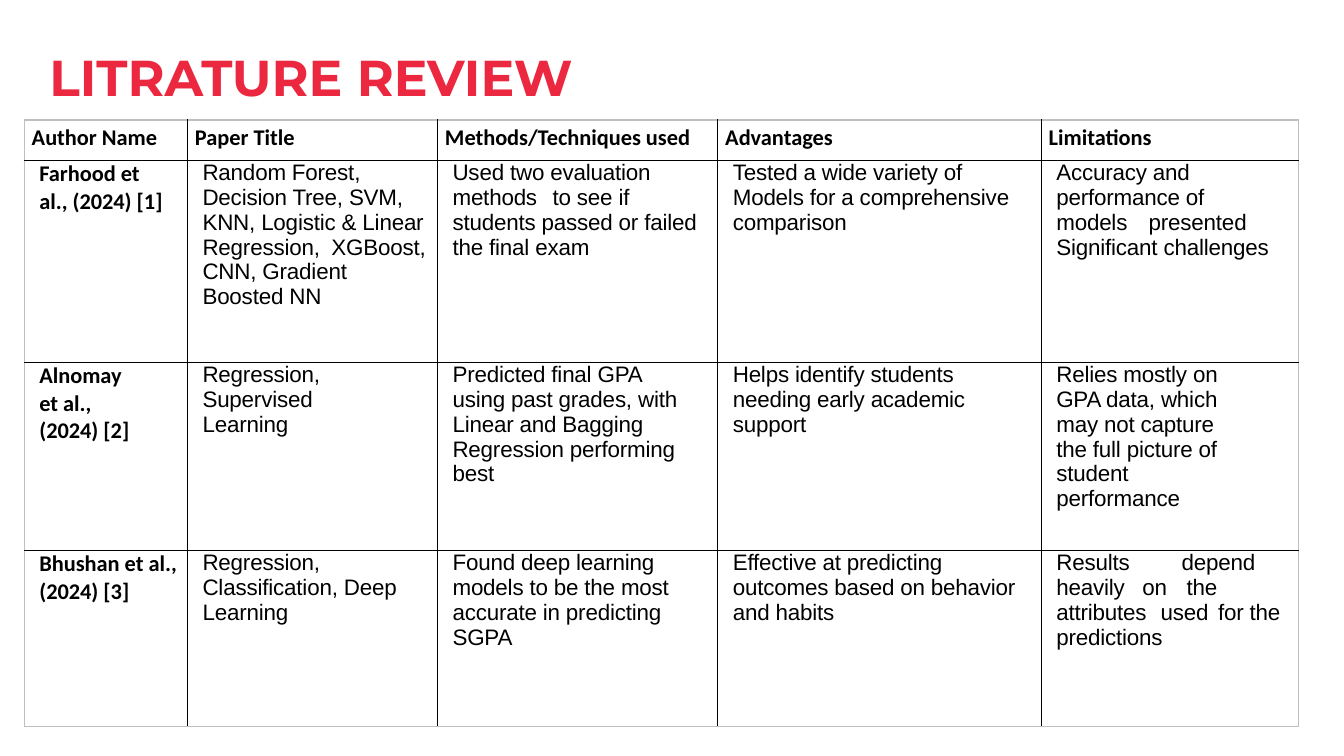
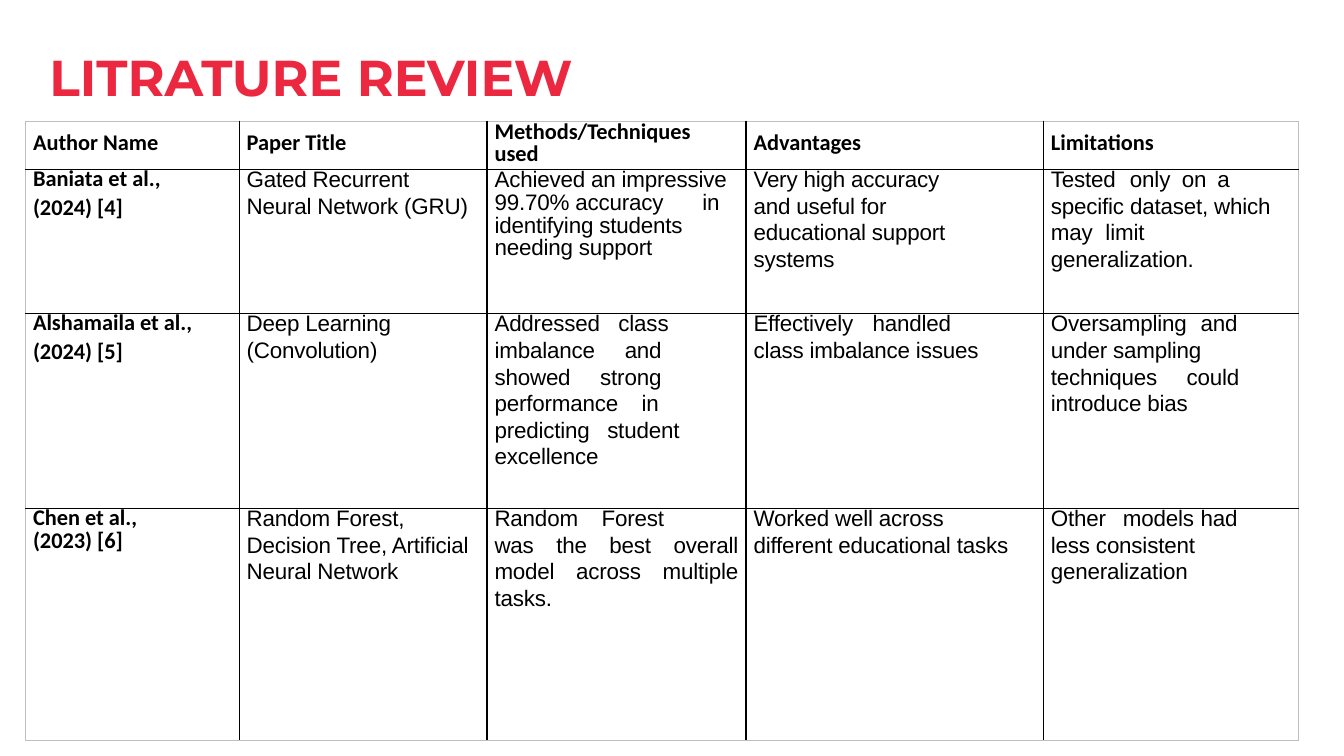
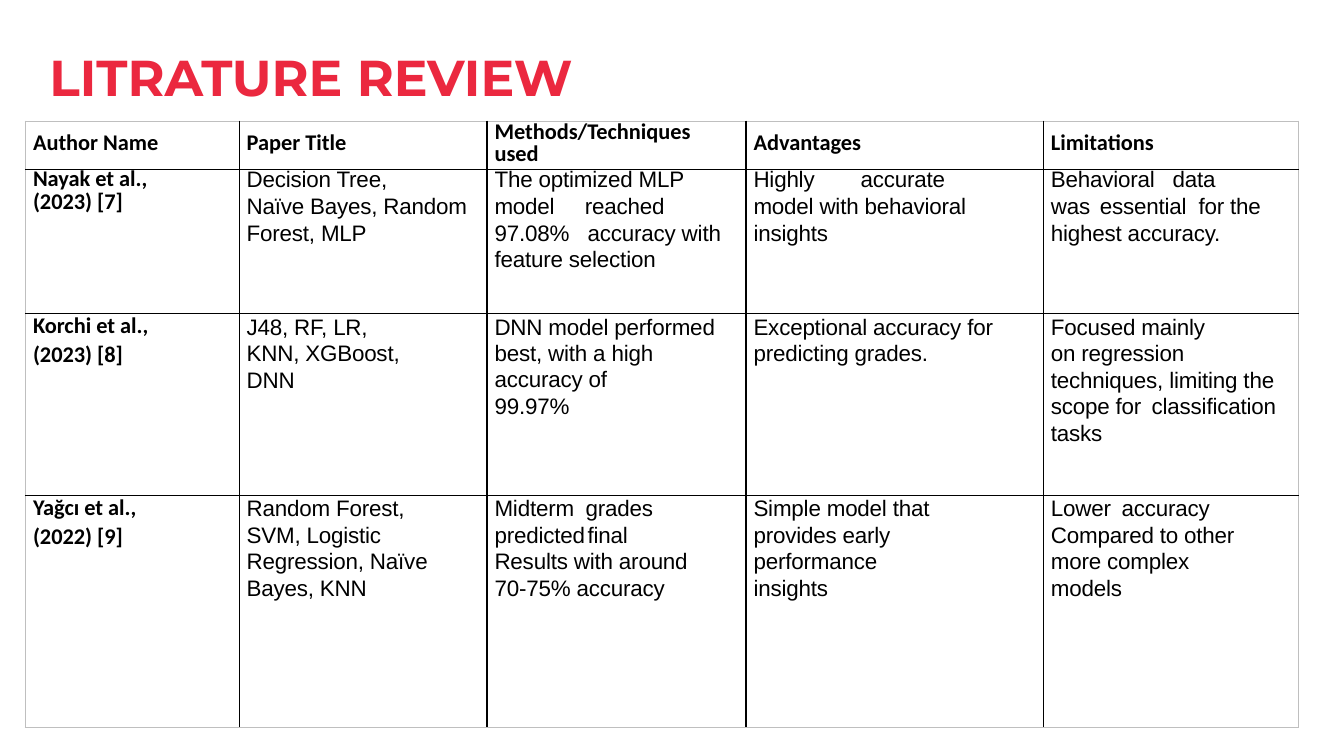
import pptx
import pptx.dml.color
import pptx.enum.text
import pptx.oxml.ns
import pptx.util
from lxml import etree

Pt = pptx.util.Pt
TITLE = "LITRATURE REVIEW"
HEADERS = ["Author Name", "Paper Title", "Methods/Techniques used", "Advantages", "Limitations"]
RED, BLACK, WHITE, GREY = "EB283F", "000000", "FFFFFF", "BFBFBF"
HEADING_FONT, BODY_FONT = "Calibri", "Arial"
INSET = 5.4
JUSTIFY = "justify"

# A cell is a list of paragraphs. A paragraph is a text, or a tuple of a text
# and its tab stops in points, or of a text and JUSTIFY.
# A row is its height, the exact spacing of its first lines, and its cells.
REVIEWS = [
    {
        "place": (17.3, 85.7),
        "columns": [116.6, 178.6, 200.2, 231.1, 184],
        "header_height": 28.8,
        "indent": 5.4,
        "rows": [
            (144.3, None, [
                ["Farhood et", "al., (2024) [1]"],
                [("Random Forest, Decision Tree, SVM, KNN, Logistic & Linear Regression,\tXGBoost, "
                  "CNN, Gradient Boosted NN", [92])],
                [("Used two evaluation methods\tto see if students passed or failed the final exam", [71.5])],
                ["Tested a wide variety of", "Models for a comprehensive", "comparison"],
                ["Accuracy and", "performance of", ("models\tpresented", [66]), "Significant challenges"],
            ]),
            (134.3, None, [
                ["Alnomay", "et al.,", "(2024) [2]"],
                ["Regression,", "Supervised", "Learning"],
                ["Predicted final GPA", "using past grades, with Linear and Bagging Regression performing best"],
                ["Helps identify students", "needing early academic support"],
                ["Relies mostly on", "GPA data, which", "may not capture", "the full picture of",
                 "student", "performance"],
            ]),
            (125.7, None, [
                ["Bhushan et al.,", "(2024) [3]"],
                ["Regression, Classification, Deep Learning"],
                ["Found deep learning models to be the most accurate in predicting SGPA"],
                ["Effective at predicting outcomes based on behavior and habits"],
                [("Results\tdepend", [89.5]),
                 ("heavily\ton\tthe attributes\tused\tfor the predictions", [61.5, 74.5, 93, 115.5])],
            ]),
        ],
    },
    {
        "place": (18.2, 86.6),
        "columns": [152.6, 177.1, 185, 212.4, 182.2],
        "header_height": 34.6,
        "indent": 0,
        "rows": [
            (103, 16.2, [
                ["Baniata et al.,", "(2024) [4]"],
                ["Gated Recurrent", "Neural Network (GRU)"],
                [("Achieved an impressive 99.70% accuracy\tin identifying students\vneeding support", [148.5])],
                ["Very high accuracy", "and useful for", "educational support", "systems"],
                [("Tested\tonly\ton\ta", [56.5, 93.5, 119]), "specific dataset, which",
                 ("may\tlimit", [39]), "generalization."],
            ]),
            (139, 16.3, [
                ["Alshamaila et al.,", "(2024) [5]"],
                ["Deep Learning", "(Convolution)"],
                [("Addressed\tclass", [88.5]), ("imbalance\tand", [93]), ("showed\tstrong", [75.5]),
                 ("performance\tin", [105]), ("predicting\tstudent", [80.5]), "excellence"],
                [("Effectively\thandled", [85]), "class imbalance issues"],
                [("Oversampling\tand", [107]), "under sampling", ("techniques\tcould", [97]), "introduce bias"],
            ]),
            (165.6, 16.4, [
                ["Chen et al.,\v(2023) [6]"],
                ["Random Forest,", "Decision Tree, Artificial Neural Network"],
                [("Random\tForest", [76.5]),
                 ("was the best overall model across multiple tasks.", JUSTIFY)],
                ["Worked well across", "different educational tasks"],
                [("Other\tmodels\thad", [51.5, 107]), "less consistent generalization"],
            ]),
        ],
    },
    {
        "place": (18.2, 86.6),
        "columns": [152.6, 177.1, 185, 212.4, 182.2],
        "header_height": 34.6,
        "indent": 0,
        "rows": [
            (103, 16.4, [
                ["Nayak et al.,\v(2023) [7]"],
                ["Decision Tree,", "Naïve Bayes, Random Forest, MLP"],
                ["The optimized MLP", ("model\treached", [64.5]),
                 ("97.08%\taccuracy with feature selection", [66.5])],
                [("Highly\taccurate", [76.5]), "model with behavioral insights"],
                [("Behavioral\tdata", [87]), ("was\tessential\tfor the highest accuracy.", [35, 105.5])],
            ]),
            (129.6, 18.6, [
                ["Korchi et al.,", "(2023) [8]"],
                ["J48, RF, LR,", "KNN, XGBoost,", "DNN"],
                ["DNN model performed best, with a high", "accuracy of", "99.97%"],
                ["Exceptional accuracy for predicting grades."],
                ["Focused mainly", "on regression", "techniques, limiting the",
                 ("scope for\tclassification tasks", [72])],
            ]),
            (165.6, 18.6, [
                ["Yağcı et al.,", "(2022) [9]"],
                ["Random Forest,", "SVM, Logistic Regression, Naïve Bayes, KNN"],
                [("Midterm\tgrades", [65]), ("predicted\tfinal", [66.5]),
                 "Results with around", "70-75% accuracy"],
                ["Simple model that", "provides early", "performance", "insights"],
                [("Lower\taccuracy", [50.5]), "Compared to other", "more complex", "models"],
            ]),
        ],
    },
]


def color(value):
    return pptx.dml.color.RGBColor.from_string(value)


def set_font(paragraph, name, size, bold, value):
    font = paragraph.font
    font.name, font.size, font.bold = name, Pt(size), bold
    font.color.rgb = color(value)


def set_tab_stops(paragraph, stops):
    defaults = paragraph._p.get_or_add_pPr().get_or_add_defRPr()
    tab_list = etree.Element(pptx.oxml.ns.qn("a:tabLst"))
    for stop in stops:
        etree.SubElement(tab_list, pptx.oxml.ns.qn("a:tab"), pos=str(int(Pt(stop))), algn="l")
    defaults.addprevious(tab_list)


def frame_cell(cell, outer_sides):
    """Rule all four sides, grey at the edge of the table, and fill the cell."""
    properties = cell._tc.get_or_add_tcPr()
    for side in "LRTB":
        line = etree.SubElement(properties, pptx.oxml.ns.qn("a:ln" + side), w=str(int(Pt(1))))
        fill = etree.SubElement(line, pptx.oxml.ns.qn("a:solidFill"))
        etree.SubElement(fill, pptx.oxml.ns.qn("a:srgbClr"), val=GREY if side in outer_sides else BLACK)
    cell.fill.solid()
    cell.fill.fore_color.rgb = color(WHITE)


def write_header(cell, text):
    cell.vertical_anchor = pptx.enum.text.MSO_ANCHOR.MIDDLE
    paragraph = cell.text_frame.paragraphs[0]
    paragraph.text = text
    set_font(paragraph, HEADING_FONT, 16, True, BLACK)
    paragraph.line_spacing = Pt(15.6)
    paragraph.space_before, paragraph.space_after = Pt(3.8), Pt(10)


def write_body(cell, lines, is_author, first_spacing):
    cell.vertical_anchor = pptx.enum.text.MSO_ANCHOR.TOP
    frame = cell.text_frame
    for index, line in enumerate(lines):
        text, layout = (line, None) if isinstance(line, str) else line
        paragraph = frame.add_paragraph() if index else frame.paragraphs[0]
        paragraph.text = text
        set_font(paragraph, HEADING_FONT if is_author else BODY_FONT, 16, is_author, BLACK)
        if not is_author:
            paragraph._p.pPr.get_or_add_defRPr().set("spc", "-10")
        if layout == JUSTIFY:
            paragraph.alignment = pptx.enum.text.PP_ALIGN.JUSTIFY
        elif layout:
            set_tab_stops(paragraph, layout)
        if first_spacing and index == 0:
            paragraph.line_spacing = Pt(first_spacing)
        elif first_spacing and is_author:
            paragraph.space_before = Pt(1.2)
        elif first_spacing:
            paragraph.line_spacing = 1.07


def add_title(slide):
    title = slide.shapes.title
    title.left, title.top, title.width, title.height = Pt(35.3), Pt(36.7), Pt(740), Pt(41)
    frame = title.text_frame
    frame.margin_left = frame.margin_right = frame.margin_top = frame.margin_bottom = 0
    frame.vertical_anchor = pptx.enum.text.MSO_ANCHOR.TOP
    frame.auto_size = pptx.enum.text.MSO_AUTO_SIZE.NONE
    paragraph = frame.paragraphs[0]
    paragraph.text = TITLE
    paragraph.alignment = pptx.enum.text.PP_ALIGN.LEFT
    paragraph.line_spacing = 0.94
    set_font(paragraph, "Montserrat", 36, True, RED)


def add_review_table(slide, review):
    columns, rows = review["columns"], review["rows"]
    heights = [review["header_height"]] + [height for height, _, _ in rows]
    left, top = review["place"]
    table = slide.shapes.add_table(len(heights), len(columns), Pt(left), Pt(top),
                                   Pt(sum(columns)), Pt(sum(heights))).table
    table.first_row = table.horz_banding = False
    for column, width in zip(table.columns, columns):
        column.width = Pt(width)
    for row, height in zip(table.rows, heights):
        row.height = Pt(height)
    for r in range(len(heights)):
        for c in range(len(columns)):
            cell = table.cell(r, c)
            edges = {"L": c == 0, "R": c == len(columns) - 1, "T": r == 0, "B": r == len(heights) - 1}
            frame_cell(cell, [side for side, is_outer in edges.items() if is_outer])
            cell.margin_top = cell.margin_bottom = 0
            cell.margin_left = Pt(INSET + (review["indent"] if r else 0))
            cell.margin_right = Pt(INSET)
            if r == 0:
                write_header(cell, HEADERS[c])
            else:
                _, first_spacing, cells = rows[r - 1]
                write_body(cell, cells[c], c == 0, first_spacing)


def main():
    presentation = pptx.Presentation()
    presentation.slide_width, presentation.slide_height = Pt(960), Pt(540)
    for review in REVIEWS:
        slide = presentation.slides.add_slide(presentation.slide_layouts[5])
        add_title(slide)
        add_review_table(slide, review)
    presentation.save("out.pptx")


if __name__ == "__main__":
    main()
